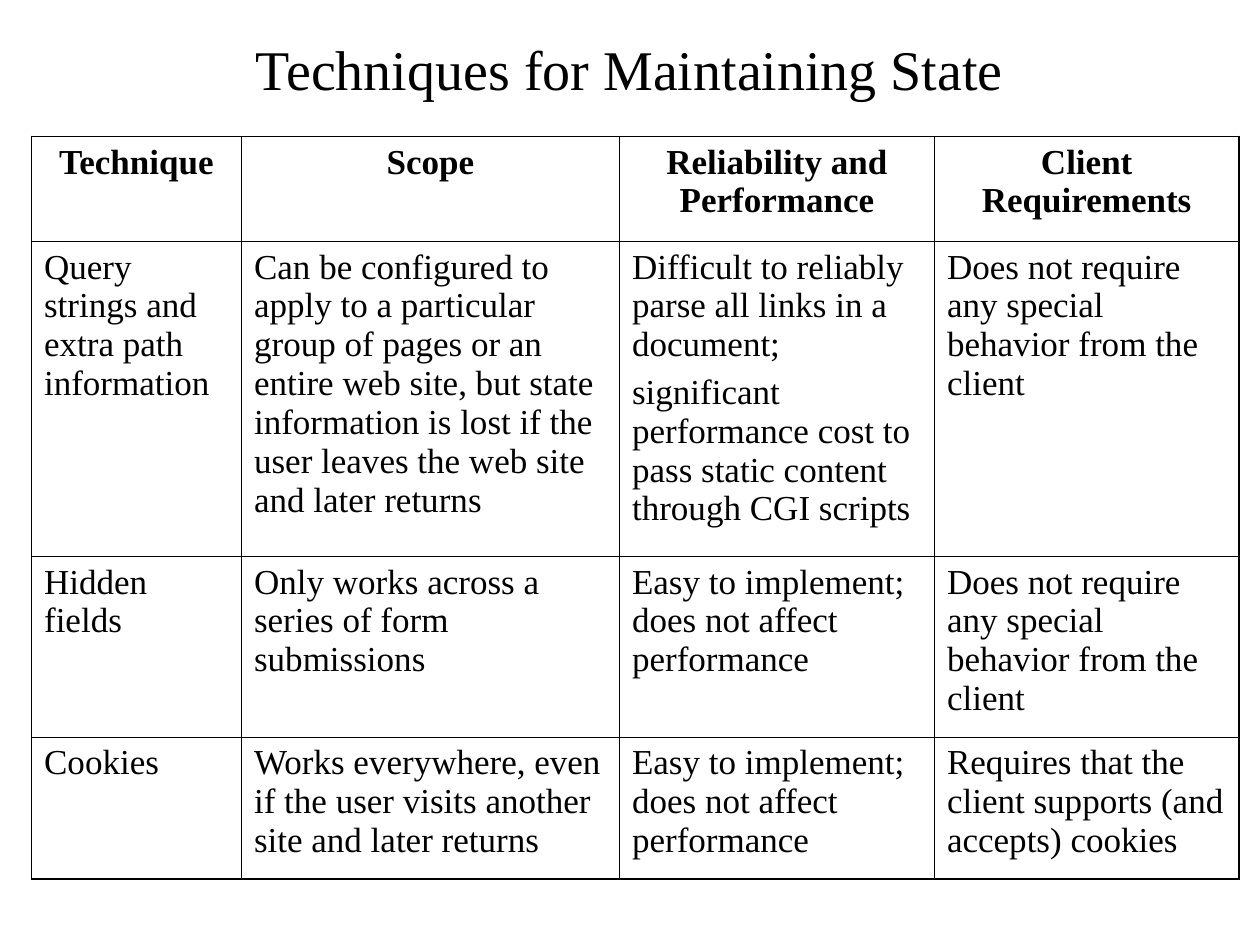
import pptx
import pptx.util
import pptx.dml.color
import pptx.enum.text
import pptx.oxml
import pptx.oxml.ns
from pptx.util import Pt

BLACK = "000000"
FONT = "Times New Roman"
CENTER = pptx.enum.text.PP_ALIGN.CENTER
LEFT = pptx.enum.text.PP_ALIGN.LEFT


def style(paragraph, size, color, bold, align):
    paragraph.alignment = align
    paragraph.font.name = FONT
    paragraph.font.size = Pt(size)
    paragraph.font.bold = bold
    paragraph.font.color.rgb = pptx.dml.color.RGBColor.from_string(color)


def add_border(cell, side, width, color):
    border = pptx.oxml.parse_xml(
        f'<a:{side} {pptx.oxml.ns.nsdecls("a")} w="{Pt(width)}">'
        f'<a:solidFill><a:srgbClr val="{color}"/></a:solidFill></a:{side}>'
    )
    cell._tc.get_or_add_tcPr().append(border)


presentation = pptx.Presentation()
presentation.slide_width = Pt(720)
presentation.slide_height = Pt(540)
slide = presentation.slides.add_slide(presentation.slide_layouts[5])

# Title
title = slide.shapes.title
title.left, title.top, title.width, title.height = Pt(54), Pt(18), Pt(612), Pt(42)
title.text_frame.text = "Techniques for Maintaining State"
title.text_frame.vertical_anchor = pptx.enum.text.MSO_ANCHOR.MIDDLE
style(title.text_frame.paragraphs[0], 32, BLACK, False, CENTER)

# Comparison of the techniques; a line break starts a new paragraph
techniques = [
    ["Technique", "Scope", "Reliability and Performance", "Client Requirements"],
    ["Query strings and extra path information",
     "Can be configured to apply to a particular group of pages or an entire web site, "
     "but state information is lost if the user leaves the web site and later returns",
     "Difficult to reliably parse all links in a document;\n"
     "significant performance cost to pass static content through CGI scripts",
     "Does not require any special behavior from the client"],
    ["Hidden fields",
     "Only works across a series of form submissions",
     "Easy to implement; does not affect performance",
     "Does not require any special behavior from the client"],
    ["Cookies",
     "Works everywhere, even if the user visits another site and later returns",
     "Easy to implement; does not affect performance",
     "Requires that the client supports (and accepts) cookies"],
]
column_widths = [120, 216, 180, 174]
row_heights = [60, 180, 103.2, 81]

comparison = slide.shapes.add_table(
    len(row_heights), len(column_widths), Pt(18), Pt(78),
    Pt(sum(column_widths)), Pt(sum(row_heights))).table
comparison.first_row = False
comparison.horz_banding = False
for column, width in zip(comparison.columns, column_widths):
    column.width = Pt(width)
for row, height in zip(comparison.rows, row_heights):
    row.height = Pt(height)

# Cells: bold centred headings, thin inner lines, thicker outer frame
last_row, last_column = len(row_heights) - 1, len(column_widths) - 1
for r, entries in enumerate(techniques):
    for c, entry in enumerate(entries):
        cell = comparison.cell(r, c)
        cell.text = entry
        for paragraph in cell.text_frame.paragraphs:
            style(paragraph, 20, BLACK, r == 0, CENTER if r == 0 else LEFT)
            paragraph.space_before = Pt(5)
        outer_sides = {"lnL": c == 0, "lnR": c == last_column,
                       "lnT": r == 0, "lnB": r == last_row}
        for side, is_outer in outer_sides.items():
            add_border(cell, side, 1.08 if is_outer else 0.45, BLACK)
        cell.fill.background()

presentation.save("out.pptx")
